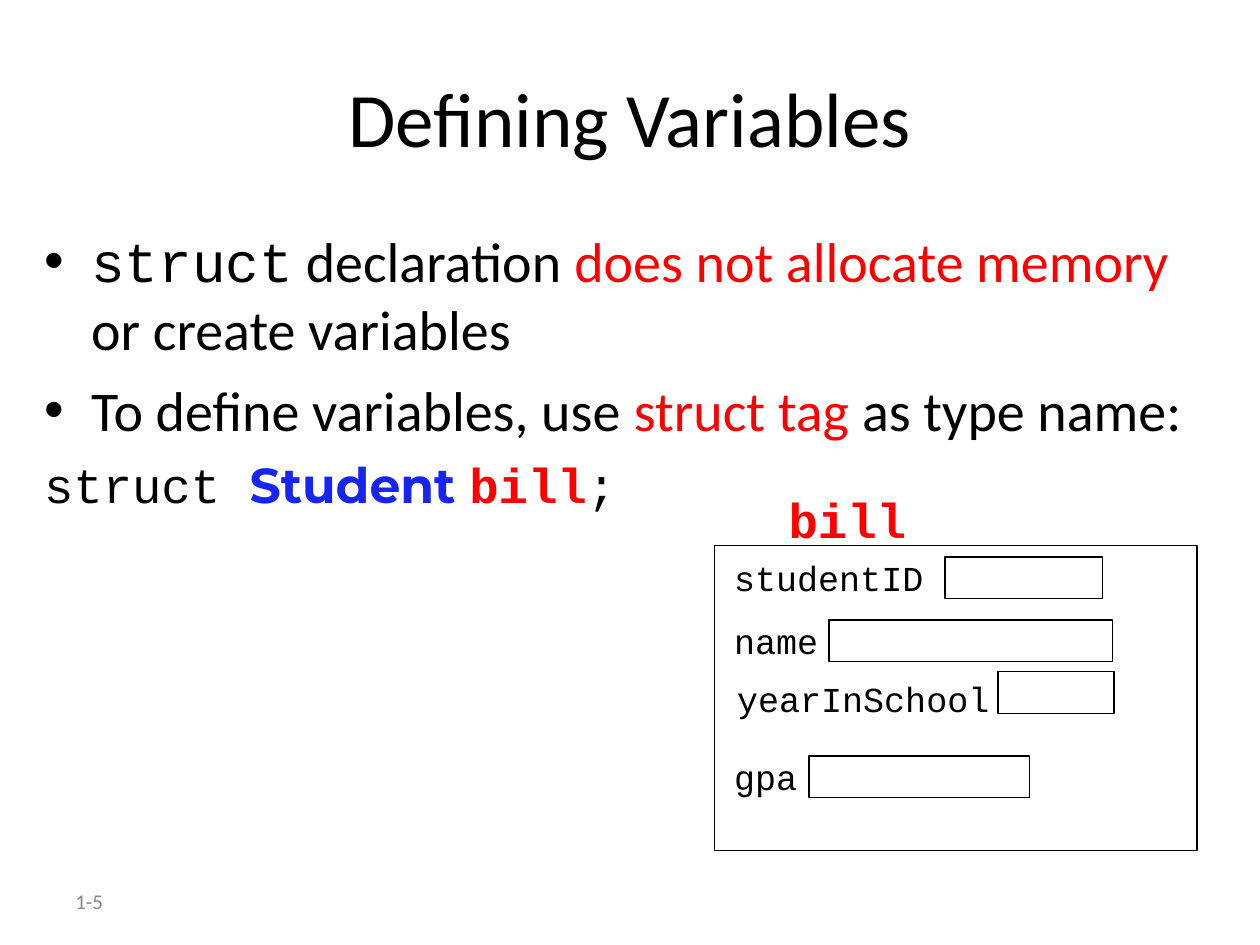
import pptx
import pptx.util
import pptx.dml.color
import pptx.enum.shapes
import pptx.enum.text
import pptx.oxml
import pptx.oxml.ns
from pptx.util import Cm

COLORS = {"black": "000000", "red": "FF0000", "blue": "1724F2", "gray": "898989"}
SANS, MONO, DISPLAY = "Calibri", "Courier New", "Montserrat"
HANGING = Cm(0.95)

# Label, label left, label top, label width, slot left, slot top, slot width (cm)
FIELDS = [
    ("studentID", 14.55, 11.1, 4.32, 19.05, 11.23, 3.18),
    ("name", 14.55, 12.37, 2.21, 16.71, 12.5, 5.72),
    ("yearInSchool", 14.61, 13.54, 5.59, 20.12, 13.54, 2.34),
    ("gpa", 14.55, 15.11, 1.78, 16.31, 15.24, 4.45),
]


def rgb(name):
    return pptx.dml.color.RGBColor.from_string(COLORS[name])


def add_span(para, text, size, font=SANS, color="black", bold=False):
    span = para.add_run()
    span.text = text
    span.font.size = pptx.util.Pt(size)
    span.font.name = font
    span.font.bold = bold
    span.font.color.rgb = rgb(color)


def add_text_box(page, left, top, width, height, wrap=True, middle=False):
    box = page.shapes.add_textbox(Cm(left), Cm(top), Cm(width), Cm(height))
    frame = box.text_frame
    frame.word_wrap = wrap
    if middle:
        frame.vertical_anchor = pptx.enum.text.MSO_ANCHOR.MIDDLE
    return frame


def add_label(page, left, top, width, height, text, size, **style):
    frame = add_text_box(page, left, top, width, height, wrap=False)
    frame.auto_size = pptx.enum.text.MSO_AUTO_SIZE.SHAPE_TO_FIT_TEXT
    add_span(frame.paragraphs[0], text, size, MONO, **style)


def add_outline(page, left, top, width, height):
    box = page.shapes.add_shape(pptx.enum.shapes.MSO_SHAPE.RECTANGLE,
                                Cm(left), Cm(top), Cm(width), Cm(height))
    box.shadow.inherit = False
    box.fill.background()
    box.line.color.rgb = rgb("black")
    box.line.width = pptx.util.Pt(0.74)


def set_hanging(para, space_before, bullet):
    para.space_before = pptx.util.Pt(space_before)
    props = para._p.get_or_add_pPr()
    props.set("marL", str(HANGING))
    props.set("indent", str(-HANGING))
    if bullet:
        font = pptx.oxml.parse_xml(
            f'<a:buFont {pptx.oxml.ns.nsdecls("a")} typeface="Arial"/>')
        mark = pptx.oxml.parse_xml(
            f'<a:buChar {pptx.oxml.ns.nsdecls("a")} char="•"/>')
        props.extend([font, mark])


def add_body(page):
    # Each paragraph: size, space before, bullet, spans
    content = [
        (32, 8, True, [
            ("struct", MONO), (" declaration ",),
            ("does not allocate memory", SANS, "red"),
            (" or create variables",)]),
        (32, 8, True, [
            ("To define variables, use ",), ("struct tag ", SANS, "red"),
            ("as type name:",)]),
        (28, 7, False, [
            ("struct ", MONO), ("Student ", DISPLAY, "blue", True),
            ("bill", MONO, "red", True), (";", MONO)]),
    ]
    frame = add_text_box(page, 0.64, 4.45, 23.5, 12.57)
    for index, (size, space_before, bullet, spans) in enumerate(content):
        para = frame.add_paragraph() if index else frame.paragraphs[0]
        set_hanging(para, space_before, bullet)
        for text, *style in spans:
            add_span(para, text, size, *style)


def add_record(page):
    add_outline(page, 14.4, 11, 9.73, 6.15)
    for name, left, top, width, slot_left, slot_top, slot_width in FIELDS:
        add_label(page, left, top, width, 1.12, name, 20)
        add_outline(page, slot_left, slot_top, slot_width, 0.84)
    add_label(page, 15.65, 9.75, 2.87, 1.45, "bill", 28, color="red", bold=True)


def main():
    deck = pptx.Presentation()
    deck.slide_width, deck.slide_height = Cm(25.4), Cm(19.05)
    page = deck.slides.add_slide(deck.slide_layouts[6])

    # Page number
    number = add_text_box(page, 1.27, 17.65, 5.92, 1.02, middle=True)
    add_span(number.paragraphs[0], "1-5", 12, color="gray")

    # Title
    title = add_text_box(page, 1.27, 0.76, 22.86, 3.18, middle=True)
    title.paragraphs[0].alignment = pptx.enum.text.PP_ALIGN.CENTER
    add_span(title.paragraphs[0], "Defining Variables", 44)

    # Explanation and the memory diagram
    add_body(page)
    add_record(page)
    deck.save("out.pptx")


main()
